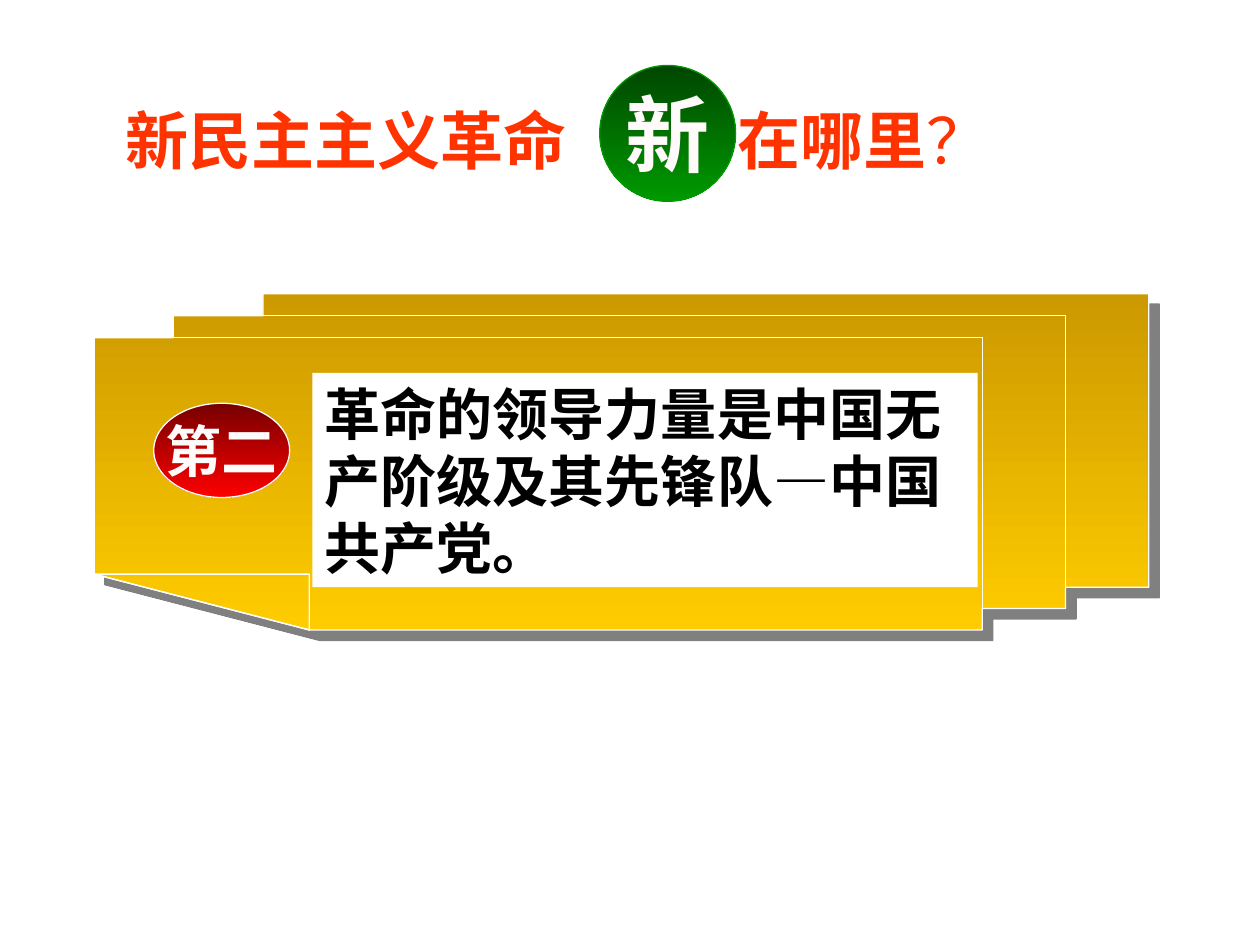
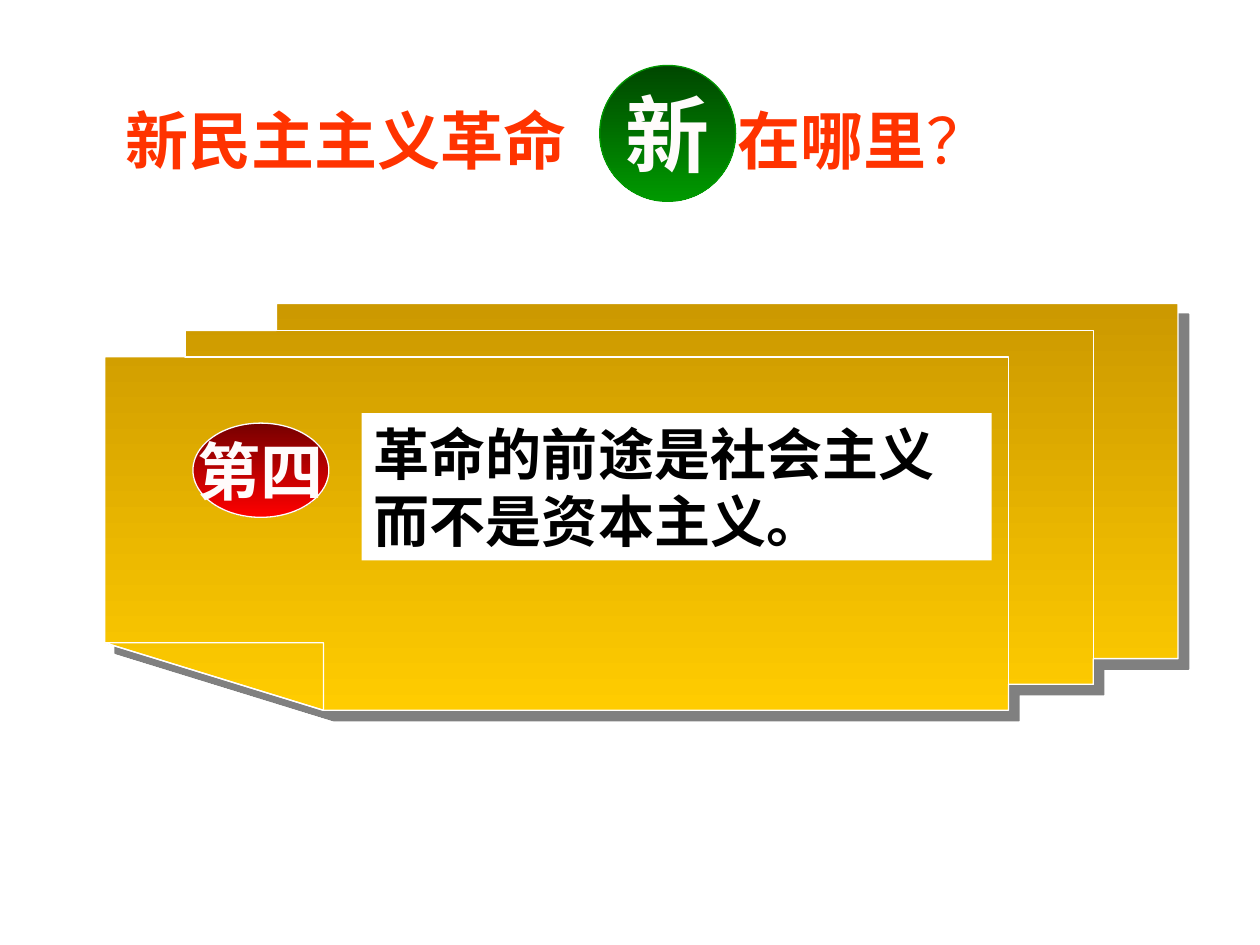
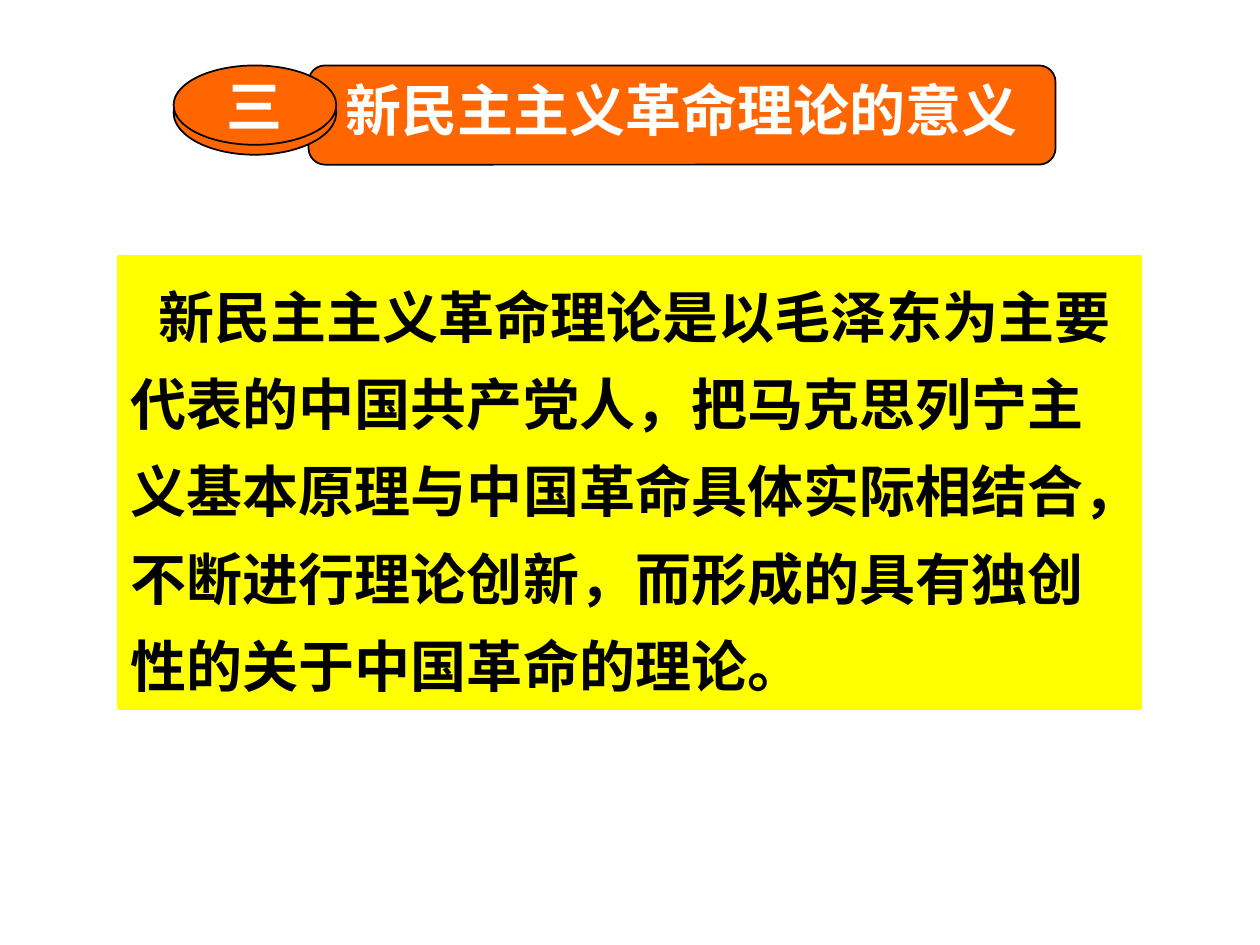
from lxml.etree import SubElement
from pptx import Presentation
from pptx.dml.color import RGBColor
from pptx.enum.shapes import MSO_SHAPE as SHAPE
from pptx.enum.text import MSO_ANCHOR as ANCHOR, PP_ALIGN as ALIGN
from pptx.oxml.ns import qn
from pptx.util import Cm, Pt

SERIF, SANS, CJK = "Times New Roman", "Arial", "Noto Sans CJK SC"
WHITE, BLACK, BADGE_TEXT = "FFFFFF", "000000", "FFFBFB"
TITLE_RED, ORANGE, YELLOW = "FF3300", "FF6600", "FFFF00"
GOLD, RED, GREEN = ("CC9900", "FFCC00"), ("760000", "FF0000"), ("004700", "009900")
SHADOW_GREY = "808080"


def rgb(value):
    return RGBColor.from_string(value)


def paint(sp, fill=None, line=None, width=0.75):
    """Fill with one colour, a (top, bottom) pair or nothing, and set the outline."""
    sp.shadow.inherit = False
    if fill is None:
        sp.fill.background()
    elif isinstance(fill, tuple):
        sp.fill.gradient()
        sp.fill.gradient_angle = 270
        for stop, color in zip(sp.fill.gradient_stops, fill):
            stop.color.rgb = rgb(color)
    else:
        sp.fill.solid()
        sp.fill.fore_color.rgb = rgb(fill)
    if line:
        sp.line.color.rgb = rgb(line)
        sp.line.width = Pt(width)
    else:
        sp.line.fill.background()


def add_box(slide, kind, box, fill, line=None, width=0.75):
    sp = slide.shapes.add_shape(kind, *map(Cm, box))
    paint(sp, fill, line, width)
    return sp


def style(p, size, color, font):
    p.font.size, p.font.bold, p.font.name = Pt(size), True, font
    p.font.color.rgb = rgb(color)
    def_rpr = p._p.get_or_add_pPr().find(qn("a:defRPr"))
    SubElement(def_rpr, qn("a:ea"), typeface=CJK)


def write(sp, text, size, color, font, centred=True):
    """Put a label in the middle of a shape, or wrapped text at its top left."""
    tf = sp.text_frame
    tf.word_wrap = not centred
    tf.vertical_anchor = ANCHOR.MIDDLE if centred else ANCHOR.TOP
    p = tf.paragraphs[0]
    p.alignment = ALIGN.CENTER if centred else ALIGN.LEFT
    p.add_run().text = text
    style(p, size, color, font)
    return p


def add_outline(slide, box, *contours):
    """Draw contours given on a 1000 by 1000 grid over the box."""
    left, top, width, height = map(Cm, box)

    def place(x, y):
        return left + width * x // 1000, top + height * y // 1000

    first, *others = [[place(*point) for point in c] for c in contours]
    builder = slide.shapes.build_freeform(*first[0])
    builder.add_line_segments(first[1:], close=True)
    for contour in others:
        builder.move_to(*contour[0])
        builder.add_line_segments(contour[1:], close=True)
    return builder.convert_to_shape()


def add_hard_shadow(sp):
    effects = sp.element.spPr.find(qn("a:effectLst"))
    shadow = SubElement(effects, qn("a:outerShdw"), dist=str(Pt(8.5)),
                        dir="2700000", algn="ctr", rotWithShape="0")
    SubElement(shadow, qn("a:srgbClr"), val=SHADOW_GREY)


def add_card_stack(slide, box):
    """Three overlapping cards, the front one with a folded corner."""
    x_mid, x_back, x_fold = 75, 160, 204
    right_front, right_mid = 842, 921
    y_mid, y_front, y_fold = 66, 131, 834
    low_back, low_mid = 873, 936
    silhouette = [
        (0, y_fold), (0, y_front), (x_mid, y_front), (x_mid, y_mid),
        (x_back, y_mid), (x_back, 0), (1000, 0), (1000, low_back),
        (right_mid, low_back), (right_mid, low_mid), (right_front, low_mid),
        (right_front, 1000), (x_fold, 1000)]
    middle_card = [
        (x_mid, y_mid), (right_mid, y_mid), (right_mid, low_mid),
        (right_front, low_mid), (right_front, y_front), (x_mid, y_front)]
    fold = [(0, y_fold), (x_fold, y_fold), (x_fold, 1000)]
    cards = add_outline(slide, box, silhouette)
    paint(cards, GOLD, WHITE)
    add_hard_shadow(cards)
    paint(add_outline(slide, box, middle_card, fold), None, WHITE)


def add_question(slide, box):
    """The question, with a green disc standing in the gap of its line."""
    left, top, width, height = box
    sp = slide.shapes.add_textbox(*map(Cm, box))
    tf = sp.text_frame
    tf.word_wrap = True
    p = tf.paragraphs[0]
    tabs = SubElement(p._p.get_or_add_pPr(), qn("a:tabLst"))
    SubElement(tabs, qn("a:tab"), pos=str(Cm(12.32)), algn="l")
    p.add_run().text = "新民主主义革命\t在哪里"
    mark = p.add_run()
    mark.text = "？"
    mark.font.bold = False
    style(p, 36, TITLE_RED, SERIF)
    disc = add_box(slide, SHAPE.OVAL, (left + 9.8, top - 0.61, 2.74, 2.74),
                   GREEN, GREEN[1])
    write(disc, "新", 48, BADGE_TEXT, SERIF)


def add_point(slide, box, badge, badge_size, badge_at, text, text_font, text_box):
    """A card stack with a numbered badge and a text panel, placed from its corner."""
    left, top = box[:2]
    add_card_stack(slide, box)
    oval = add_box(slide, SHAPE.OVAL,
                   (left + badge_at[0], top + badge_at[1], 2.74, 1.9), RED, WHITE)
    write(oval, badge, badge_size, BADGE_TEXT, SERIF)
    x, y, width, height = text_box
    panel = add_box(slide, SHAPE.RECTANGLE, (left + x, top + y, width, height), WHITE)
    write(panel, text, 32, BLACK, text_font, centred=False)


def add_section_banner(slide, box, number, title):
    left, top, width, height = box
    bar = add_box(slide, SHAPE.ROUNDED_RECTANGLE,
                  (left + 2.72, top, width - 2.72, height), ORANGE, BLACK, 1)
    write(bar, title, 32, WHITE, SANS).line_spacing = 0.8
    add_box(slide, SHAPE.OVAL, (left, top + 0.1, 3.28, 1.7), ORANGE, BLACK, 1)
    face = add_box(slide, SHAPE.OVAL, (left, top, 3.28, 1.6), ORANGE, BLACK, 1)
    write(face, number, 32, WHITE, SANS)


def add_statement(slide, box, text):
    panel = add_box(slide, SHAPE.RECTANGLE, box, YELLOW, YELLOW, 1.5)
    p = write(panel, text, 32, BLACK, CJK, centred=False)
    p.line_spacing = 1.3
    p._p.get_or_add_pPr().set("indent", str(Cm(0.56)))


def main():
    prs = Presentation()
    prs.slide_width, prs.slide_height = Cm(25.4), Cm(19.05)
    blank = prs.slide_layouts[6]

    points = [
        dict(box=(1.9, 5.92, 21.26, 6.78), badge="第二", badge_size=32,
             badge_at=(1.2, 2.21), text_font=SERIF, text_box=(4.4, 1.6, 13.41, 4.32),
             text="革命的领导力量是中国无产阶级及其先锋队—中国共产党。"),
        dict(box=(2.11, 6.12, 21.64, 8.2), badge="第四", badge_size=36,
             badge_at=(1.78, 2.41), text_font=CJK, text_box=(5.18, 2.21, 12.7, 2.97),
             text="革命的前途是社会主义而不是资本主义。"),
    ]
    for point in points:
        slide = prs.slides.add_slide(blank)
        add_question(slide, (2.29, 1.93, 20.55, 1.78))
        add_point(slide, **point)

    slide = prs.slides.add_slide(blank)
    add_section_banner(slide, (3.5, 1.32, 17.78, 2), "三", "新民主主义革命理论的意义")
    add_statement(slide, (2.39, 5.16, 20.6, 9.12),
                  "新民主主义革命理论是以毛泽东为主要代表的中国共产党人，"
                  "把马克思列宁主义基本原理与中国革命具体实际相结合，"
                  "不断进行理论创新，而形成的具有独创性的关于中国革命的理论。")
    prs.save("out.pptx")


if __name__ == "__main__":
    main()
